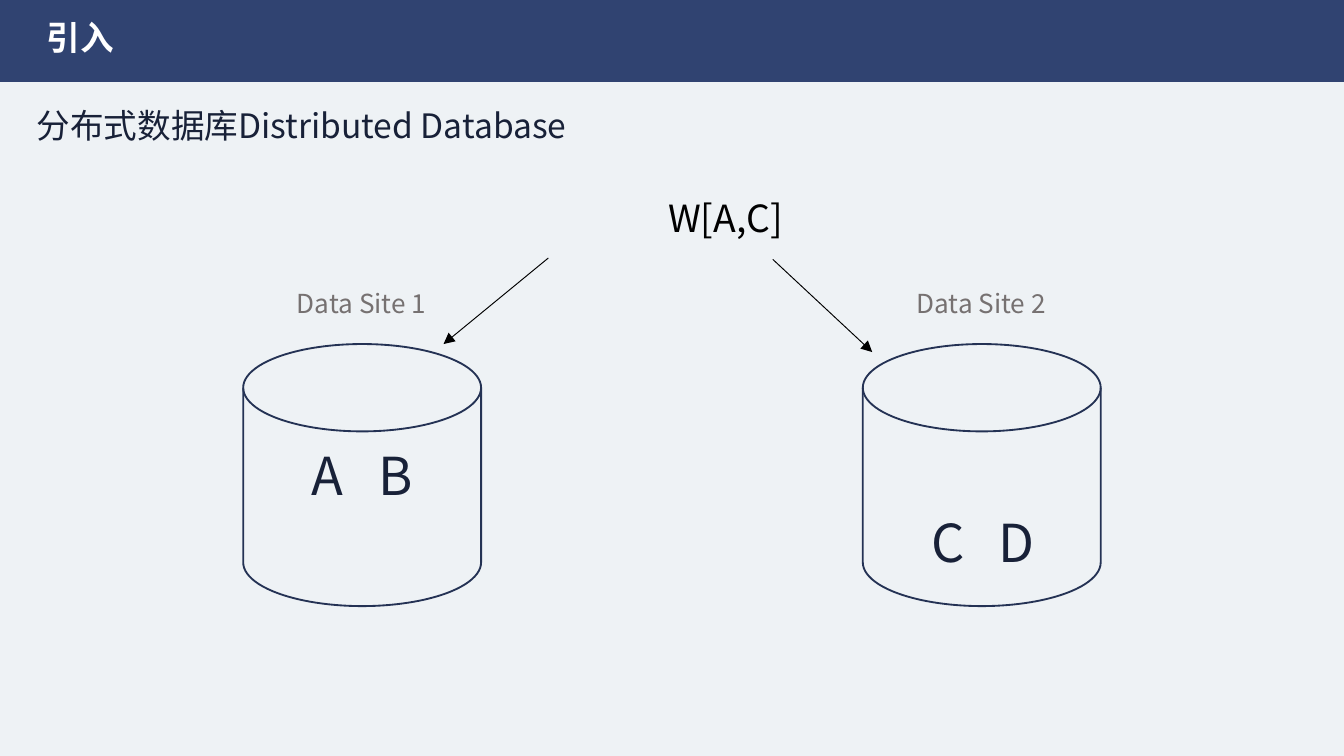
from lxml.etree import SubElement
from pptx import Presentation
from pptx.dml.color import RGBColor
from pptx.enum.shapes import MSO_CONNECTOR as Connector, MSO_SHAPE as Shape
from pptx.enum.text import PP_ALIGN as Align
from pptx.oxml.ns import qn
from pptx.util import Inches, Pt

FONT = "Noto Sans CJK SC"
BACKGROUND = RGBColor(0xEE, 0xF2, 0xF5)
BANNER = RGBColor(0x30, 0x43, 0x71)
OUTLINE = RGBColor(0x24, 0x32, 0x54)
INK = RGBColor(0x18, 0x21, 0x38)
GRAY = RGBColor(0x76, 0x71, 0x71)
BLACK = RGBColor(0, 0, 0)
WHITE = RGBColor(0xFF, 0xFF, 0xFF)


class SlideBuilder:
    """Draws styled elements on one slide."""

    def __init__(self, slide):
        self.slide = slide
        fill = slide.background.fill
        fill.solid()
        fill.fore_color.rgb = BACKGROUND

    def add_banner(self, width, height):
        shape = self.slide.shapes.add_shape(Shape.RECTANGLE, 0, 0, Inches(width), Inches(height))
        shape.shadow.inherit = False
        shape.fill.solid()
        shape.fill.fore_color.rgb = BANNER
        shape.line.fill.background()

    def add_text(self, text, left, top, width, height, size, color, bold=False, tab=None):
        box = self.slide.shapes.add_textbox(Inches(left), Inches(top), Inches(width), Inches(height))
        frame = box.text_frame
        frame.word_wrap = tab is not None
        paragraph = frame.paragraphs[0]
        paragraph.text = text
        paragraph.alignment = Align.CENTER
        if tab is not None:
            paragraph.alignment = Align.LEFT
            frame.margin_left = Inches(0.17)
            tabs = SubElement(paragraph._p.get_or_add_pPr(), qn("a:tabLst"))
            SubElement(tabs, qn("a:tab"), pos=str(Inches(tab)), algn="l")
        font = paragraph.font
        font.name, font.size, font.bold = FONT, Pt(size), bold
        font.color.rgb = color
        SubElement(font._element, qn("a:ea"), typeface=FONT)

    def add_cylinder(self, left, top, width, height):
        shape = self.slide.shapes.add_shape(
            Shape.FLOWCHART_MAGNETIC_DISK, Inches(left), Inches(top), Inches(width), Inches(height))
        shape.shadow.inherit = False
        shape.fill.background()
        shape.line.color.rgb = OUTLINE
        shape.line.width = Pt(1)

    def add_arrow(self, *ends):
        arrow = self.slide.shapes.add_connector(Connector.STRAIGHT, *map(Inches, ends))
        arrow.line.color.rgb = BLACK
        arrow.line.width = Pt(0.5)
        SubElement(arrow.line._get_or_add_ln(), qn("a:tailEnd"), type="triangle")
        SubElement(arrow._element.spPr, qn("a:effectLst"))

    def add_site(self, label, items, left, items_left, items_top):
        self.add_cylinder(left, 2.56, 1.77, 1.95)
        self.add_text(label, left + 0.27, 2.09, 1.22, 0.34, 14, GRAY)
        self.add_text("\t".join(items), items_left, items_top, 1.1, 0.57, 28, INK, tab=0.5)


def main():
    presentation = Presentation()
    presentation.slide_width = Inches(10)
    presentation.slide_height = Inches(10 * 9 / 16)
    builder = SlideBuilder(presentation.slides.add_slide(presentation.slide_layouts[6]))

    builder.add_banner(10, 0.61)
    builder.add_text("引入", 0.24, 0.08, 0.71, 0.4, 18, WHITE, bold=True)
    builder.add_text("分布式数据库Distributed Database", 0.11, 0.73, 4.27, 0.4, 18, INK)
    builder.add_site("Data Site 1", "AB", 1.81, 2.15, 3.25)
    builder.add_site("Data Site 2", "CD", 6.42, 6.76, 3.75)
    builder.add_text("W[A,C]", 4.83, 1.4, 1.14, 0.44, 20, BLACK)
    builder.add_arrow(4.08, 1.92, 3.3, 2.56)
    builder.add_arrow(5.75, 1.93, 6.49, 2.62)
    presentation.save("out.pptx")


if __name__ == "__main__":
    main()
